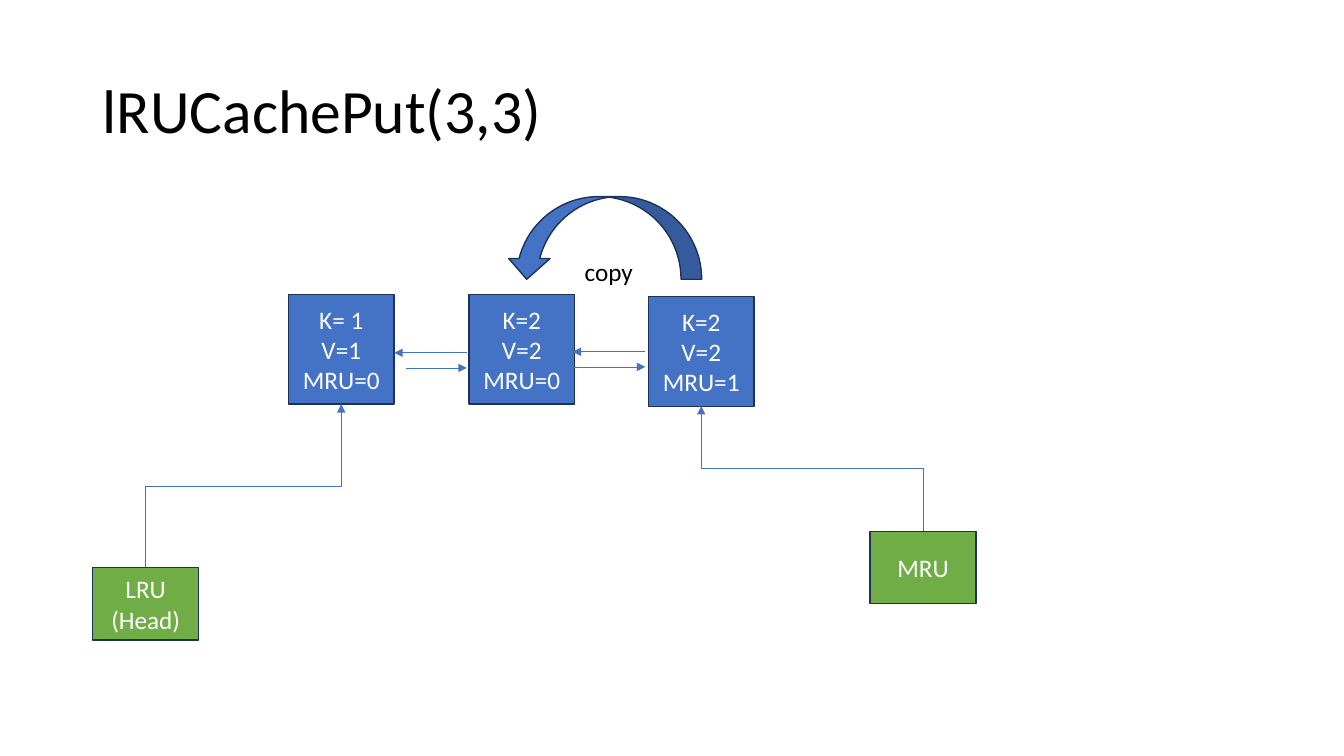
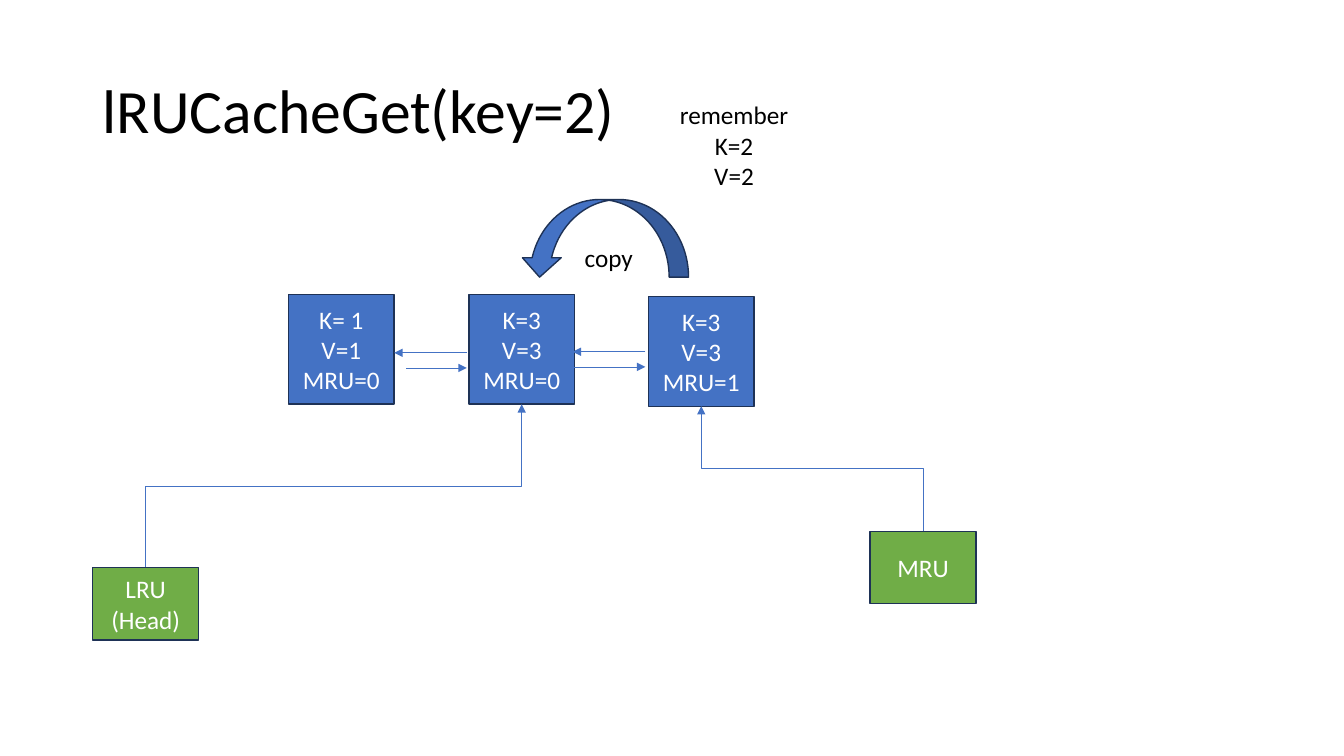
from pptx import Presentation
from pptx.dml.color import RGBColor
from pptx.enum.shapes import MSO_CONNECTOR, MSO_SHAPE
from pptx.enum.text import MSO_ANCHOR, PP_ALIGN
from pptx.oxml.ns import qn
from pptx.util import Inches, Pt
from lxml.etree import SubElement

# Colours
BLACK = RGBColor(0, 0, 0)
WHITE = RGBColor(255, 255, 255)
BLUE = RGBColor(0x44, 0x72, 0xC4)
GREEN = RGBColor(0x70, 0xAD, 0x47)
NAVY = RGBColor(0x1E, 0x32, 0x56)

# Text formats
TITLE = {"name": "Calibri", "size": Pt(44)}
BODY = {"name": "Calibri", "size": Pt(18)}

# Sizes and places in inches
WIDE, TALL, LOW = 1.05, 1.09, 0.72
NODES = [(2.86, 2.92), (4.65, 2.92), (6.43, 2.94)]
HEAD = (0.92, 5.63)
TAIL = (8.63, 5.27)
LINKS = [  # next and back links between the nodes
    (4.03, 3.65, 4.63, 3.65), (4.63, 3.5, 3.91, 3.5),
    (5.66, 3.64, 6.4, 3.64), (6.4, 3.49, 5.68, 3.49),
]


def write(frame, lines, style, color, align=PP_ALIGN.CENTER):
    """Put one paragraph per line into a text frame."""
    frame.text = "\n".join(lines)
    for para in frame.paragraphs:
        para.alignment = align
        para.font.color.rgb = color
        for key, value in style.items():
            setattr(para.font, key, value)


def add_title(slide, text):
    title = slide.shapes.title
    place = {"left": 0.92, "top": 0.4, "width": 11.5, "height": 1.45}
    for key, value in place.items():
        setattr(title, key, Inches(value))
    frame = title.text_frame
    frame.vertical_anchor = MSO_ANCHOR.MIDDLE
    write(frame, [text], TITLE, BLACK, PP_ALIGN.LEFT)
    frame.paragraphs[0].line_spacing = 0.9


def add_form(slide, kind, box, fill):
    """Add a filled shape with the navy outline."""
    form = slide.shapes.add_shape(kind, *map(Inches, box))
    form.shadow.inherit = False
    form.fill.solid()
    form.fill.fore_color.rgb = fill
    form.line.color.rgb = NAVY
    form.line.width = Pt(1)
    return form


def add_box(slide, spot, high, lines, fill):
    form = add_form(slide, MSO_SHAPE.RECTANGLE, (*spot, WIDE, high), fill)
    form.text_frame.vertical_anchor = MSO_ANCHOR.MIDDLE
    write(form.text_frame, lines, BODY, WHITE)


def add_curve(slide, kind, box, flips):
    form = add_form(slide, kind, box, BLUE)
    for flip in flips:
        form._element.spPr.xfrm.set(flip, "1")


def add_note(slide, box, lines, align, wrap):
    frame = slide.shapes.add_textbox(*map(Inches, box)).text_frame
    frame.word_wrap = wrap
    write(frame, lines, BODY, BLACK, align)


def add_link(slide, ends, kind=MSO_CONNECTOR.STRAIGHT):
    """Add a thin line with an arrowhead at its end."""
    link = slide.shapes.add_connector(kind, *map(Inches, ends))
    link.line.color.rgb = BLUE
    link.line.width = Pt(0.5)
    props = link._element.spPr
    SubElement(props.find(qn("a:ln")), qn("a:tailEnd"), type="triangle")
    SubElement(props, qn("a:effectLst"))
    return link


def add_bend(slide, start, node):
    """Link the top of a pointer box to the bottom of a node."""
    left, low = start[0] + WIDE / 2, start[1]
    right, high = node[0] + WIDE / 2, node[1] + TALL
    # An elbow leaves sideways, so lay it flat and turn it upright
    mid_x, mid_y = (left + right) / 2, (low + high) / 2
    run, rise = (right - left) / 2, (low - high) / 2
    ends = (mid_x - rise, mid_y - run, mid_x + rise, mid_y + run)
    link = add_link(slide, ends, MSO_CONNECTOR.ELBOW)
    link._element.spPr.find(qn("a:xfrm")).set("rot", str(270 * 60000))


def add_cache(deck, title, pair, first):
    """Draw the linked list; first is the node the head points to."""
    slide = deck.slides.add_slide(deck.slide_layouts[5])
    add_title(slide, title)
    texts = [["K= 1", "V=1", "MRU=0"], [*pair, "MRU=0"], [*pair, "MRU=1"]]
    for spot, lines in zip(NODES, texts):
        add_box(slide, spot, TALL, lines, BLUE)
    add_box(slide, HEAD, LOW, ["LRU", "(Head)"], GREEN)
    add_box(slide, TAIL, LOW, ["MRU"], GREEN)
    for ends in LINKS:
        add_link(slide, ends)
    add_bend(slide, HEAD, NODES[first])
    add_bend(slide, TAIL, NODES[-1])
    return slide


def add_copy(slide, top):
    add_note(slide, (5.7, top, 0.69, 0.4), ["copy"], PP_ALIGN.LEFT, False)


def main():
    deck = Presentation()
    deck.slide_width, deck.slide_height = Inches(13.33), Inches(7.5)

    # Put
    slide = add_cache(deck, "lRUCachePut(3,3)", ["K=2", "V=2"], 0)
    add_curve(slide, MSO_SHAPE.CURVED_DOWN_ARROW,
              (5.02, 1.95, 1.94, 0.82), ["flipH"])
    add_copy(slide, 2.49)

    # Get
    slide = add_cache(deck, "lRUCacheGet(key=2)", ["K=3", "V=3"], 1)
    add_note(slide, (6.04, 0.94, 2.48, 1.01), ["remember", "K=2", "V=2"],
             PP_ALIGN.CENTER, True)
    add_curve(slide, MSO_SHAPE.CURVED_UP_ARROW,
              (5.16, 1.98, 1.67, 0.77), ["flipH", "flipV"])
    add_copy(slide, 2.35)

    deck.save("out.pptx")


if __name__ == "__main__":
    main()
